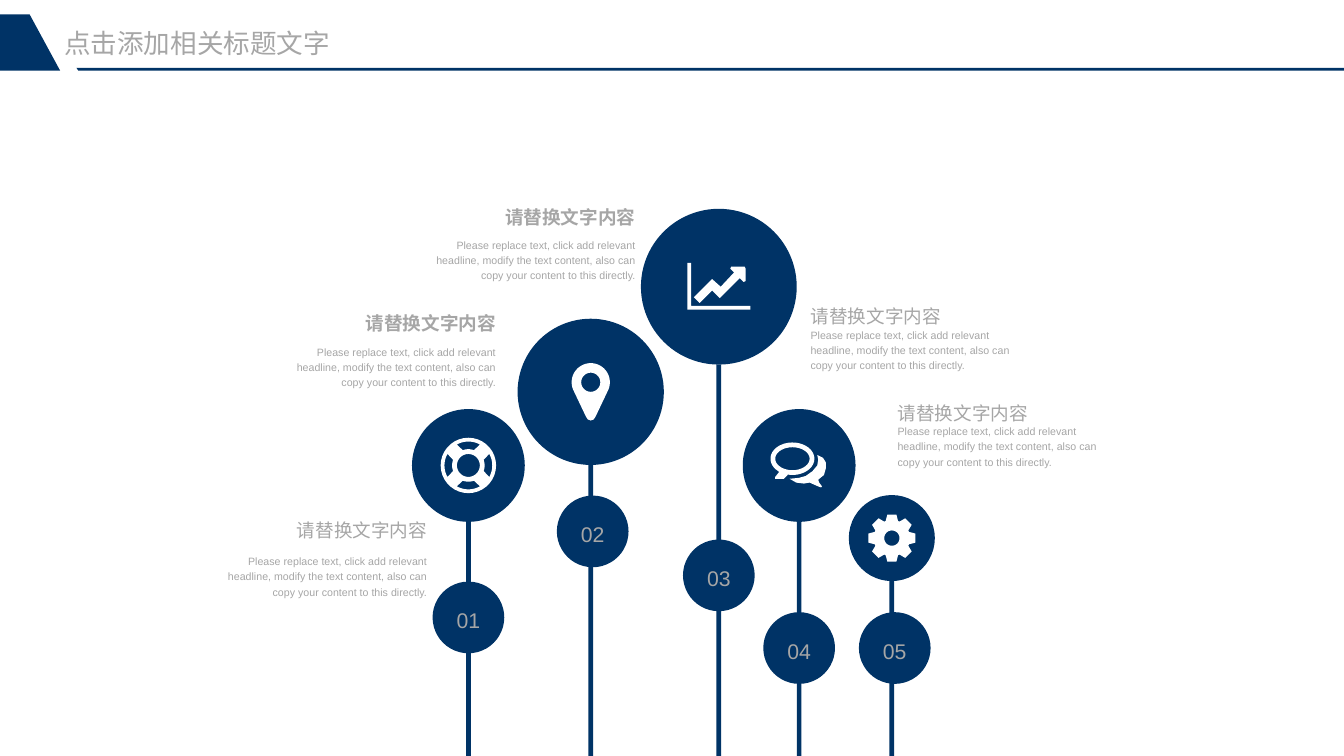
from dataclasses import dataclass
from math import cos, radians, sin

from pptx import Presentation
from pptx.dml.color import RGBColor
from pptx.enum.shapes import MSO_SHAPE as SHAPE
from pptx.enum.text import MSO_ANCHOR as ANCHOR
from pptx.enum.text import MSO_AUTO_SIZE as AUTO
from pptx.enum.text import PP_ALIGN as ALIGN
from pptx.util import Inches, Pt

NAVY = RGBColor(0x00, 0x33, 0x66)
GREY = RGBColor(0xA6, 0xA6, 0xA6)
WHITE = RGBColor(0xFF, 0xFF, 0xFF)
FONT = "Arial"
SLIDE_W, SLIDE_H = 14.06, 7.91
BAR_W, BADGE_D = 0.05, 0.75
TITLE_W, TITLE_H, BODY_W, BODY_H = 1.37, 0.26, 2.3, 0.48
HEADING = "点击添加相关标题文字"
TITLE = "请替换文字内容"
BODY = ("Please replace text, click add relevant headline, modify the text "
        "content, also can copy your content to this directly.")

Contour = list[tuple[float, float]]
Icon = list[Contour]


@dataclass
class Stem:
    number: str
    x: float          # centre of the large circle
    y: float
    diameter: float
    badge_x: float    # centre of the number badge
    badge_y: float
    edge: float       # the side of the text that is aligned
    title_y: float
    body_y: float
    icon: Icon
    on_left: bool = True
    bold: bool = False


# Icon outlines, in inches from the centre of their circle
def arc(x: float, y: float, rx: float, ry: float,
        start: float = 0, end: float = 360, steps: int = 36) -> Contour:
    angles = [radians(start + (end - start) * i / steps) for i in range(steps + 1)]
    return [(x + rx * cos(a), y + ry * sin(a)) for a in angles]


def ring_slot(angle: float) -> Contour:
    return (arc(0, 0, 0.25, 0.25, angle - 29, angle + 29, 12)
            + arc(0, 0, 0.17, 0.17, angle + 20, angle - 20, 12))


def lifebuoy() -> Icon:
    discs = [arc(0, 0, r, r) for r in (0.29, 0.12)]
    return discs + [ring_slot(a) for a in range(0, 360, 90)]


def pin() -> Icon:
    tip = [(0.05, 0.26), (0.03, 0.29), (0, 0.3), (-0.03, 0.29), (-0.05, 0.26)]
    return [arc(0, -0.1, 0.2, 0.2, 158, 382) + tip, arc(0, -0.1, 0.1, 0.1)]


def growth() -> Icon:
    axes = [(-0.33, -0.25), (-0.29, -0.25), (-0.29, 0.2),
            (0.33, 0.2), (0.33, 0.24), (-0.33, 0.24)]
    arrow = [(-0.26, 0.11), (-0.07, -0.08), (0.02, 0), (0.16, -0.15),
             (0.12, -0.19), (0.13, -0.21), (0.27, -0.21), (0.28, -0.19),
             (0.28, -0.06), (0.26, -0.05), (0.22, -0.09), (0.01, 0.12),
             (-0.07, 0.04), (-0.2, 0.17)]
    return [axes, arrow]


def chat() -> Icon:
    tail = [(-0.12, 0.1), (-0.16, 0.14), (-0.25, 0.14), (-0.25, 0.12), (-0.21, 0.07)]
    front = arc(-0.07, -0.07, 0.23, 0.17, 464, 129)[::-1] + tail
    back = [(0.19, -0.11), (0.25, -0.08), (0.28, -0.03), (0.28, 0.03),
            (0.26, 0.1), (0.2, 0.15), (0.21, 0.18), (0.24, 0.22), (0.23, 0.23),
            (0.2, 0.22), (0.11, 0.18), (0.05, 0.19), (-0.03, 0.18),
            (-0.1, 0.14), (0, 0.13), (0.07, 0.11), (0.14, 0.06),
            (0.19, 0), (0.2, -0.06)]
    return [front, arc(-0.07, -0.07, 0.18, 0.12), back]


def gear() -> Icon:
    tooth = [(-20, 0.19), (-11, 0.25), (11, 0.25), (20, 0.19)]
    rim = [(r * cos(radians(a + k)), r * sin(radians(a + k)))
           for k in range(0, 360, 45) for a, r in tooth]
    return [rim, arc(0, 0, 0.08, 0.08)]


STEMS = [
    Stem("01", 4.9, 4.87, 1.18, 4.9, 6.46, 4.47, 5.39, 5.78, lifebuoy()),
    Stem("02", 6.18, 4.1, 1.53, 6.2, 5.56, 5.19, 3.23, 3.59, pin(), bold=True),
    Stem("03", 7.52, 3, 1.63, 7.52, 6.02, 6.65, 2.12, 2.47, growth(), bold=True),
    Stem("04", 8.36, 4.87, 1.18, 8.36, 6.78, 8.48, 3.14, 3.41, chat(), on_left=False),
    Stem("05", 9.33, 5.63, 0.9, 9.36, 6.78, 9.39, 4.16, 4.42, gear(), on_left=False),
]

prs = Presentation()
prs.slide_width, prs.slide_height = Inches(SLIDE_W), Inches(SLIDE_H)
s = prs.slides.add_slide(prs.slide_layouts[6])


def paint(sp, color: RGBColor):
    sp.shadow.inherit = False
    sp.fill.solid()
    sp.fill.fore_color.rgb = color
    sp.line.fill.background()
    return sp


def add_preset(kind: SHAPE, x: float, y: float, w: float, h: float):
    return paint(s.shapes.add_shape(kind, Inches(x), Inches(y), Inches(w), Inches(h)), NAVY)


def add_circle(x: float, y: float, d: float):
    return add_preset(SHAPE.OVAL, x - d / 2, y - d / 2, d, d)


def add_outline(contours: Icon, color: RGBColor, x: float = 0, y: float = 0) -> None:
    placed = [[(Inches(x + px), Inches(y + py)) for px, py in c] for c in contours]
    builder = s.shapes.build_freeform(*placed[0][0])
    for i, (start, *rest) in enumerate(placed):
        if i:
            builder.move_to(*start)
        builder.add_line_segments(rest, close=True)
    paint(builder.convert_to_shape(), color)


def write(sp, text: str, size: int, align: ALIGN = ALIGN.LEFT,
          anchor: ANCHOR = ANCHOR.TOP, bold: bool = False, spacing: float = 1.2) -> None:
    tf = sp.text_frame
    tf.margin_left = tf.margin_top = tf.margin_right = tf.margin_bottom = 0
    tf.vertical_anchor = anchor
    p = tf.paragraphs[0]
    p.text, p.alignment, p.line_spacing = text, align, spacing
    p.font.name, p.font.size, p.font.bold = FONT, Pt(size), bold
    p.font.color.rgb = GREY


def add_text(x: float, y: float, w: float, h: float, text: str, size: int,
             wrap: bool = True, **style) -> None:
    sp = s.shapes.add_textbox(Inches(x), Inches(y), Inches(w), Inches(h))
    write(sp, text, size, **style)
    sp.text_frame.word_wrap = wrap
    sp.text_frame.auto_size = AUTO.SHAPE_TO_FIT_TEXT


def add_stem(st: Stem) -> None:
    # Bar, large circle with icon, number badge
    top = st.y + st.diameter / 2
    add_preset(SHAPE.RECTANGLE, st.x - BAR_W / 2, top, BAR_W, SLIDE_H - top)
    add_circle(st.x, st.y, st.diameter)
    add_outline(st.icon, WHITE, st.x, st.y)
    write(add_circle(st.badge_x, st.badge_y, BADGE_D), st.number, 16,
          ALIGN.CENTER, ANCHOR.MIDDLE)
    # Title and body
    align = ALIGN.RIGHT if st.on_left else ALIGN.LEFT
    anchor = ANCHOR.MIDDLE if st.on_left else ANCHOR.TOP
    shift = 1 if st.on_left else 0
    add_text(st.edge - shift * TITLE_W, st.title_y, TITLE_W, TITLE_H, TITLE, 14,
             wrap=False, align=align, anchor=anchor, bold=st.bold)
    add_text(st.edge - shift * BODY_W, st.body_y, BODY_W, BODY_H, BODY, 8,
             align=align, anchor=anchor)


# Five stems
for stem in STEMS:
    add_stem(stem)

# Heading with its rule and corner block
add_outline([[(0.8, 0.71), (SLIDE_W, 0.71), (SLIDE_W, 0.74), (0.82, 0.74)]], NAVY)
add_outline([[(0.31, 0.15), (0.63, 0.74), (0, 0.74), (0, 0.15)]], NAVY)
add_text(0.67, 0.28, 3.35, 0.34, HEADING, 20, spacing=1.0)

prs.save("out.pptx")
